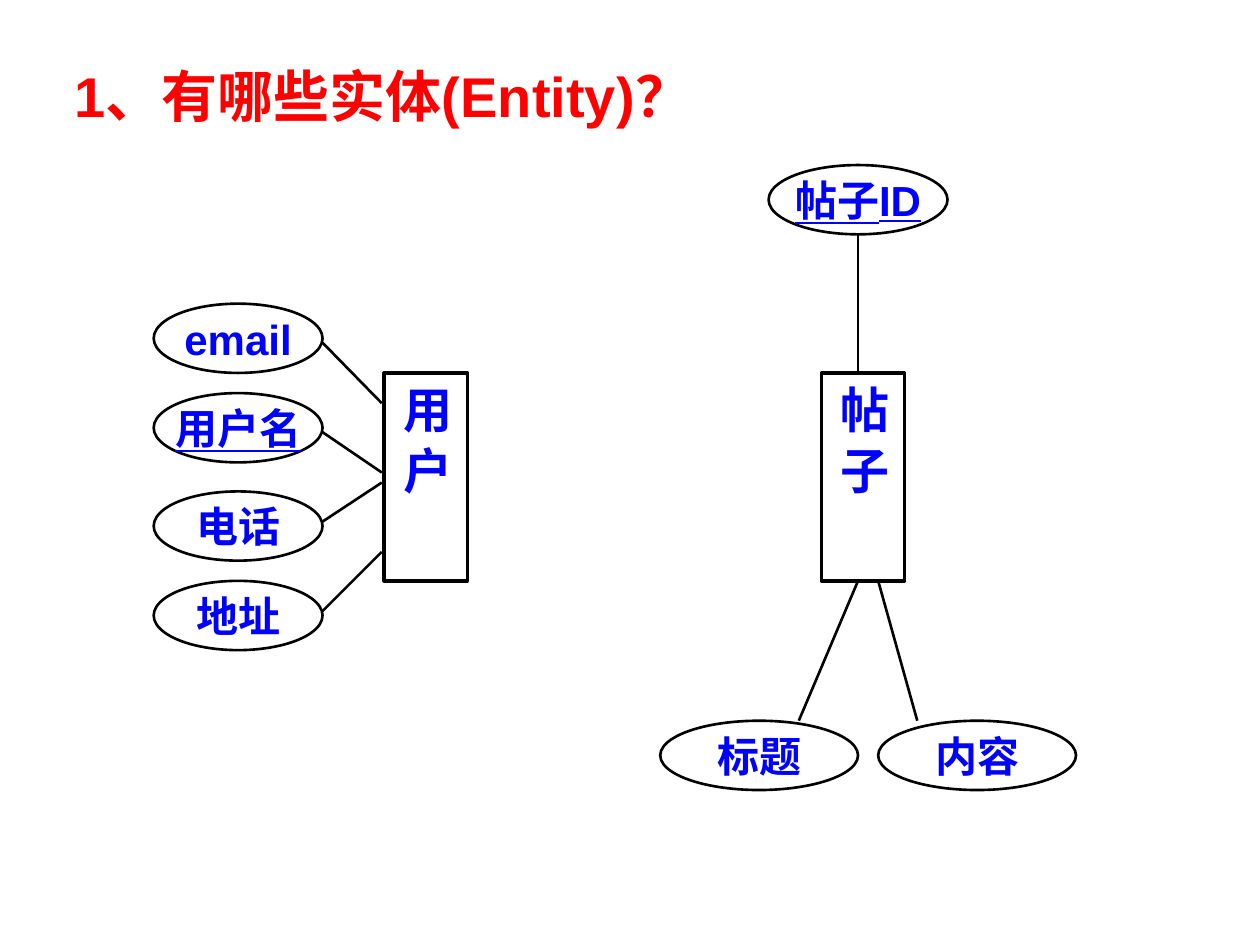
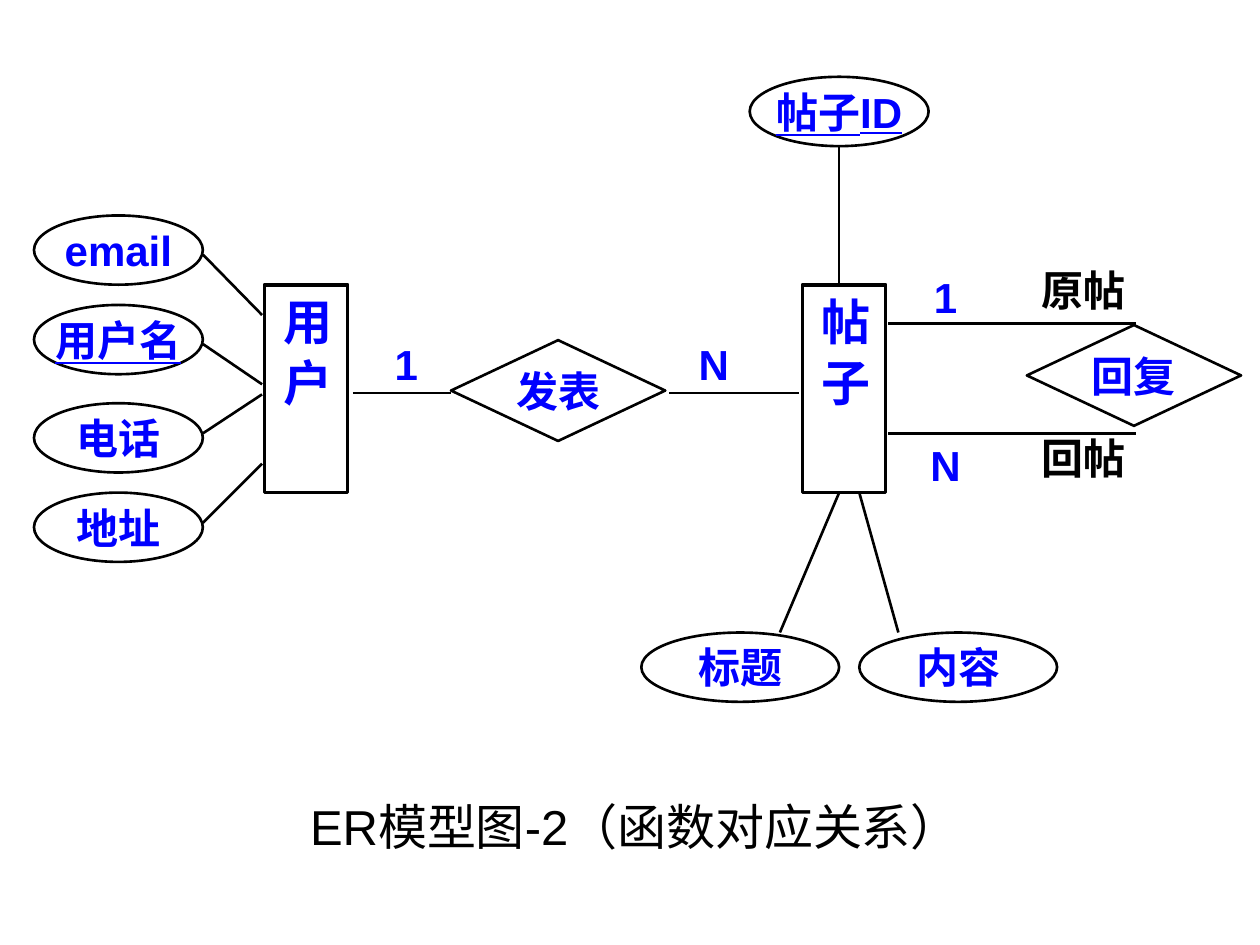
from lxml import etree
from pptx import Presentation
from pptx.dml.color import RGBColor
from pptx.enum.shapes import MSO_CONNECTOR as Line, MSO_SHAPE as Shape
from pptx.enum.text import MSO_ANCHOR as Anchor, MSO_AUTO_SIZE as AutoSize, PP_ALIGN as Align
from pptx.oxml.ns import qn
from pptx.util import Inches, Pt

COLORS = {"title": "FF0000", "text": "0000FF", "ink": "000000", "paper": "FFFFFF"}
LATIN, CHINESE = "Arial", "Noto Sans CJK SC"
ENTITY_SIZE = (0.66, 1.65)
DIAMOND_SIZE = (1.7, 0.8)
ELLIPSE_HEIGHT = 0.55
USER_ELLIPSE_WIDTH = 1.34

# All offsets are measured from the top left corner of the entity box.
# Each user attribute: text, underlined, ellipse top, line start, line end
USER_ATTRIBUTES = [
    ("email", False, -0.55, -0.24, 0.24),
    ("用户名", True, 0.16, 0.47, 0.79),
    ("电话", False, 0.94, 1.18, 0.87),
    ("地址", False, 1.65, 1.89, 1.42),
]
# Each post attribute: text, underlined, ellipse left, top, width, line start, line end
POST_ATTRIBUTES = [
    ("帖子ID", True, -0.42, -1.65, 1.42, (0.29, -1.1), (0.29, 0)),
    ("标题", False, -1.28, 2.76, 1.57, (-0.18, 2.76), (0.29, 1.65)),
    ("内容", False, 0.45, 2.76, 1.57, (0.76, 2.76), (0.45, 1.65)),
]


def color(name):
    return RGBColor.from_string(COLORS[name])


def write(shape, text, size=24, ink="text", bold=True, underline=None,
          align=Align.CENTER, anchor=Anchor.MIDDLE, wrap=False):
    frame = shape.text_frame
    frame.auto_size = AutoSize.NONE
    frame.word_wrap = wrap
    frame.vertical_anchor = anchor
    frame.margin_left = frame.margin_right = Inches(0.1)
    frame.margin_top = frame.margin_bottom = Inches(0.05)
    para = frame.paragraphs[0]
    para.text = text
    para.alignment = align
    font = para.font
    font.size, font.bold, font.underline = Pt(size), bold, underline
    font.color.rgb = color(ink)
    font.name = LATIN
    defaults = para._p.pPr.find(qn("a:defRPr"))
    etree.SubElement(defaults, qn("a:ea")).set("typeface", CHINESE)
    return frame


def place_title(page, text, left, top, width, height, **style):
    title = page.shapes.title
    title.left, title.top = Inches(left), Inches(top)
    title.width, title.height = Inches(width), Inches(height)
    write(title, text, anchor=Anchor.TOP, wrap=True, **style)


def add_outline(page, kind, left, top, width, height, weight=1.5):
    shape = page.shapes.add_shape(kind, Inches(left), Inches(top), Inches(width), Inches(height))
    shape.shadow.inherit = False
    shape.fill.background()
    shape.line.color.rgb = color("ink")
    shape.line.width = Pt(weight)
    return shape


def add_line(page, start, end):
    points = [Inches(value) for value in (*start, *end)]
    line = page.shapes.add_connector(Line.STRAIGHT, *points)
    line.line.color.rgb = color("ink")
    line.line.width = Pt(1.5)
    etree.SubElement(line._element.spPr, qn("a:effectLst"))


def add_entity(page, name, left, top):
    box = add_outline(page, Shape.RECTANGLE, left, top, *ENTITY_SIZE, weight=2)
    frame = write(box, name, size=28, wrap=True)
    frame.margin_left = frame.margin_right = Inches(0.09)
    frame.margin_top = frame.margin_bottom = Inches(0.1)
    frame._txBody.bodyPr.set("vert", "eaVert")


def add_attribute(page, text, underlined, left, top, width):
    ellipse = add_outline(page, Shape.OVAL, left, top, width, ELLIPSE_HEIGHT)
    write(ellipse, text, underline=underlined)


def add_user(page, left, top):
    """Draw the user entity with its attributes stacked on the left."""
    add_entity(page, "用 户", left, top)
    for text, underlined, ellipse_top, start, end in USER_ATTRIBUTES:
        add_attribute(page, text, underlined, left - 1.83, top + ellipse_top, USER_ELLIPSE_WIDTH)
        add_line(page, (left - 0.49, top + start), (left - 0.02, top + end))


def add_post(page, left, top):
    """Draw the post entity with its attributes above and below."""
    add_entity(page, "帖 子", left, top)
    for text, underlined, dx, dy, width, start, end in POST_ATTRIBUTES:
        add_attribute(page, text, underlined, left + dx, top + dy, width)
        add_line(page, (left + start[0], top + start[1]), (left + end[0], top + end[1]))


def add_relationship(page, name, left, top):
    diamond = add_outline(page, Shape.DIAMOND, left, top, *DIAMOND_SIZE)
    frame = write(diamond, name, wrap=True)
    frame.margin_left = frame.margin_right = frame.margin_top = frame.margin_bottom = 0


def add_label(page, text, left, top, width, height, **style):
    box = page.shapes.add_textbox(Inches(left), Inches(top), Inches(width), Inches(height))
    write(box, text, **style)
    return box


def add_publishing(page):
    add_relationship(page, "发表", 3.58, 2.7)
    for start, end in [(2.8, 3.58), (5.31, 6.34)]:
        add_line(page, (start, 3.12), (end, 3.12))
    for count, left in [("1", 2.95), ("N", 5.39)]:
        add_label(page, count, left, 2.73, 0.55, 0.31)


def add_replying(page):
    add_relationship(page, "回复", 8.15, 2.58)
    for role, role_top, count, count_top, line_y in [
        ("原帖", 2.1, "1", 2.16, 2.57),
        ("回帖", 3.44, "N", 3.49, 3.44),
    ]:
        add_line(page, (7.05, line_y), (9.02, line_y))
        role_box = add_label(page, role, 7.28, role_top, 1.65, 0.39, ink="ink", align=Align.RIGHT)
        role_box.text_frame.margin_right = 0
        count_box = add_label(page, count, 7.11, count_top, 0.79, 0.39)
        count_box.fill.solid()
        count_box.fill.fore_color.rgb = color("paper")


def main():
    deck = Presentation()
    deck.slide_width, deck.slide_height = Inches(10), Inches(7.5)
    title_only = deck.slide_layouts[5]

    entities = deck.slides.add_slide(title_only)
    place_title(entities, "1、有哪些实体(Entity)？", 0.49, 0.44, 7.19, 0.64,
                size=32, ink="title", align=Align.LEFT)
    add_user(entities, 3.05, 2.96)
    add_post(entities, 6.52, 2.96)

    model = deck.slides.add_slide(title_only)
    place_title(model, "ER模型图-2（函数对应关系）", 2.01, 6.27, 6.06, 0.57,
                size=28, ink="ink", bold=False)
    add_user(model, 2.1, 2.26)
    add_post(model, 6.37, 2.26)
    add_publishing(model)
    add_replying(model)

    deck.save("out.pptx")


if __name__ == "__main__":
    main()
